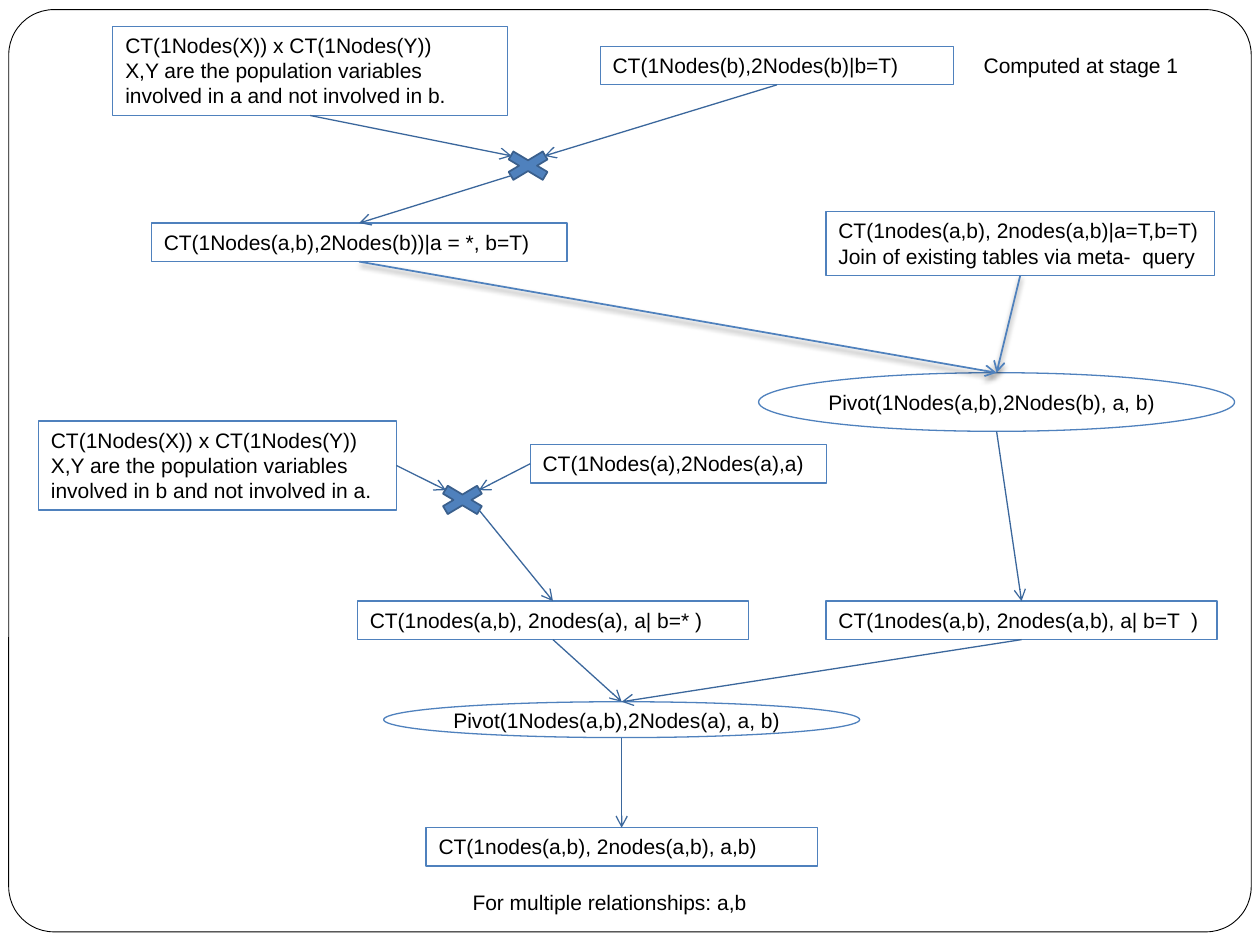
"""Build the flow diagram for computing contingency tables of relationships a and b."""
from lxml.etree import SubElement
from pptx import Presentation
from pptx.dml.color import RGBColor
from pptx.enum.shapes import MSO_CONNECTOR, MSO_SHAPE
from pptx.enum.text import MSO_ANCHOR, PP_ALIGN
from pptx.oxml.ns import qn
from pptx.util import Pt

COLORS = {"frame": "000000", "text": "000000", "paper": "FFFFFF",
          "blue": "4F81BD", "arrow": "3B679C", "cross_line": "3A5F8C"}
TOP, LEFT, BOTTOM, RIGHT = range(4)
ROW = 22


def color(name):
    return RGBColor.from_string(COLORS[name])


def add_outline(slide, preset, box, line, width=0.75, fill=None):
    shape = slide.shapes.add_shape(preset, *(Pt(v) for v in box))
    shape.shadow.inherit = False
    if fill:
        shape.fill.solid()
        shape.fill.fore_color.rgb = color(fill)
    else:
        shape.fill.background()
    shape.line.color.rgb = color(line)
    shape.line.width = Pt(width)
    return shape


def add_label(slide, box, text, line="blue", preset=MSO_SHAPE.RECTANGLE, inset=True):
    label = add_outline(slide, preset, box, line)
    frame = label.text_frame
    frame.word_wrap = True
    frame.vertical_anchor = MSO_ANCHOR.TOP if inset else MSO_ANCHOR.MIDDLE
    if not inset:
        frame.margin_left = frame.margin_right = 0
        frame.margin_top = frame.margin_bottom = 0
    frame.text = text
    for paragraph in frame.paragraphs:
        paragraph.alignment = PP_ALIGN.LEFT
        paragraph.font.name = "Arial"
        paragraph.font.size = Pt(12)
        paragraph.font.color.rgb = color("text")
    return label


def add_pivot(slide, box, text):
    return add_label(slide, box, text, preset=MSO_SHAPE.OVAL, inset=False)


def add_cross(slide, left, top):
    return add_outline(slide, MSO_SHAPE.MATH_MULTIPLY, (left, top, 37.5, 22.4),
                       "cross_line", 1, "blue")


def point_on(shape, across, down):
    """Return the point at the given fractions of a shape's width and height."""
    return (int(shape.left + shape.width * across),
            int(shape.top + shape.height * down))


def add_arrow(slide, start, end, shadowed=False):
    """Draw an arrow between ends, each a point or a (shape, side) pair."""
    joined = [isinstance(place[0], int) is False for place in (start, end)]
    points = [(0, 0) if glued else place
              for glued, place in zip(joined, (start, end))]
    arrow = slide.shapes.add_connector(MSO_CONNECTOR.STRAIGHT, *points[0], *points[1])
    if joined[0]:
        arrow.begin_connect(*start)
    if joined[1]:
        arrow.end_connect(*end)
    arrow.line.color.rgb = color("blue" if shadowed else "arrow")
    arrow.line.width = Pt(1 if shadowed else 0.75)
    SubElement(arrow.line._get_or_add_ln(), qn("a:tailEnd"), type="arrow")
    effects = SubElement(arrow._element.spPr, qn("a:effectLst"))
    if shadowed:
        shadow = SubElement(effects, qn("a:outerShdw"), blurRad=str(Pt(3)),
                            dist=str(Pt(2)), dir="5400000", rotWithShape="0")
        tint = SubElement(shadow, qn("a:srgbClr"), val=COLORS["text"])
        SubElement(tint, qn("a:alpha"), val="50000")


def main():
    presentation = Presentation()
    presentation.slide_width, presentation.slide_height = Pt(720), Pt(540)
    slide = presentation.slides.add_slide(presentation.slide_layouts[6])

    border = add_outline(slide, MSO_SHAPE.ROUNDED_RECTANGLE, (5, 5.5, 710, 527),
                         "frame", 0.5, "paper")
    border.adjustments[0] = 0.049

    population = ("CT(1Nodes(X)) x CT(1Nodes(Y))\nX,Y are the population variables "
                  "involved in {} and not involved in {}.")
    population_a = add_label(slide, (64.5, 15, 225.5, 51), population.format("a", "b"))
    population_b = add_label(slide, (22, 240.5, 204.5, 51), population.format("b", "a"))
    given_b = add_label(slide, (343, 26.5, 202, ROW), "CT(1Nodes(b),2Nodes(b)|b=T)")
    given_a = add_label(slide, (303, 254, 169.5, ROW), "CT(1Nodes(a),2Nodes(a),a)")
    a_star = add_label(slide, (86.5, 127.5, 237.5, ROW),
                       "CT(1Nodes(a,b),2Nodes(b))|a = *, b=T)")
    both_true = add_label(slide, (472, 121, 222, 36.5),
                          "CT(1nodes(a,b), 2nodes(a,b)|a=T,b=T)\v"
                          "Join of existing tables via meta-  query")
    b_star = add_label(slide, (204.25, 343.5, 223.5, ROW),
                       "CT(1nodes(a,b), 2nodes(a), a| b=* )")
    b_true = add_label(slide, (472, 343.5, 223.5, ROW),
                       "CT(1nodes(a,b), 2nodes(a,b), a| b=T  )")
    result = add_label(slide, (243.5, 473, 223.5, ROW),
                       "CT(1nodes(a,b), 2nodes(a,b), a,b)")
    add_label(slide, (555, 26.5, 131, ROW), "Computed at stage 1", "paper")
    add_label(slide, (270, 503.5, 170.5, 24), "For multiple relationships: a,b",
              "paper", inset=False)

    pivot_b = add_pivot(slide, (433.5, 213, 272, 33.5), "Pivot(1Nodes(a,b),2Nodes(b), a, b)")
    pivot_a = add_pivot(slide, (219.25, 401, 272, 20.5), "Pivot(1Nodes(a,b),2Nodes(a), a, b)")
    cross_a = add_cross(slide, 283, 83.5)
    cross_b = add_cross(slide, 245.5, 274.5)

    add_arrow(slide, (both_true, BOTTOM), (pivot_b, TOP), shadowed=True)
    add_arrow(slide, (a_star, BOTTOM), (pivot_b, TOP), shadowed=True)
    for start, end in [
        ((population_a, BOTTOM), point_on(cross_a, 0.25, 0.25)),
        ((given_b, BOTTOM), point_on(cross_a, 0.75, 0.25)),
        (point_on(cross_a, 0.25, 0.75), (a_star, TOP)),
        (point_on(pivot_b, 0.5, 1), (b_true, TOP)),
        ((population_b, RIGHT), point_on(cross_b, 0.25, 0.25)),
        ((given_a, LEFT), point_on(cross_b, 0.75, 0.25)),
        (point_on(cross_b, 0.75, 0.75), (b_star, TOP)),
        ((b_star, BOTTOM), (pivot_a, TOP)),
        ((b_true, BOTTOM), (pivot_a, TOP)),
        (point_on(pivot_a, 0.5, 1), (result, TOP)),
    ]:
        add_arrow(slide, start, end)

    presentation.save("out.pptx")


if __name__ == "__main__":
    main()
